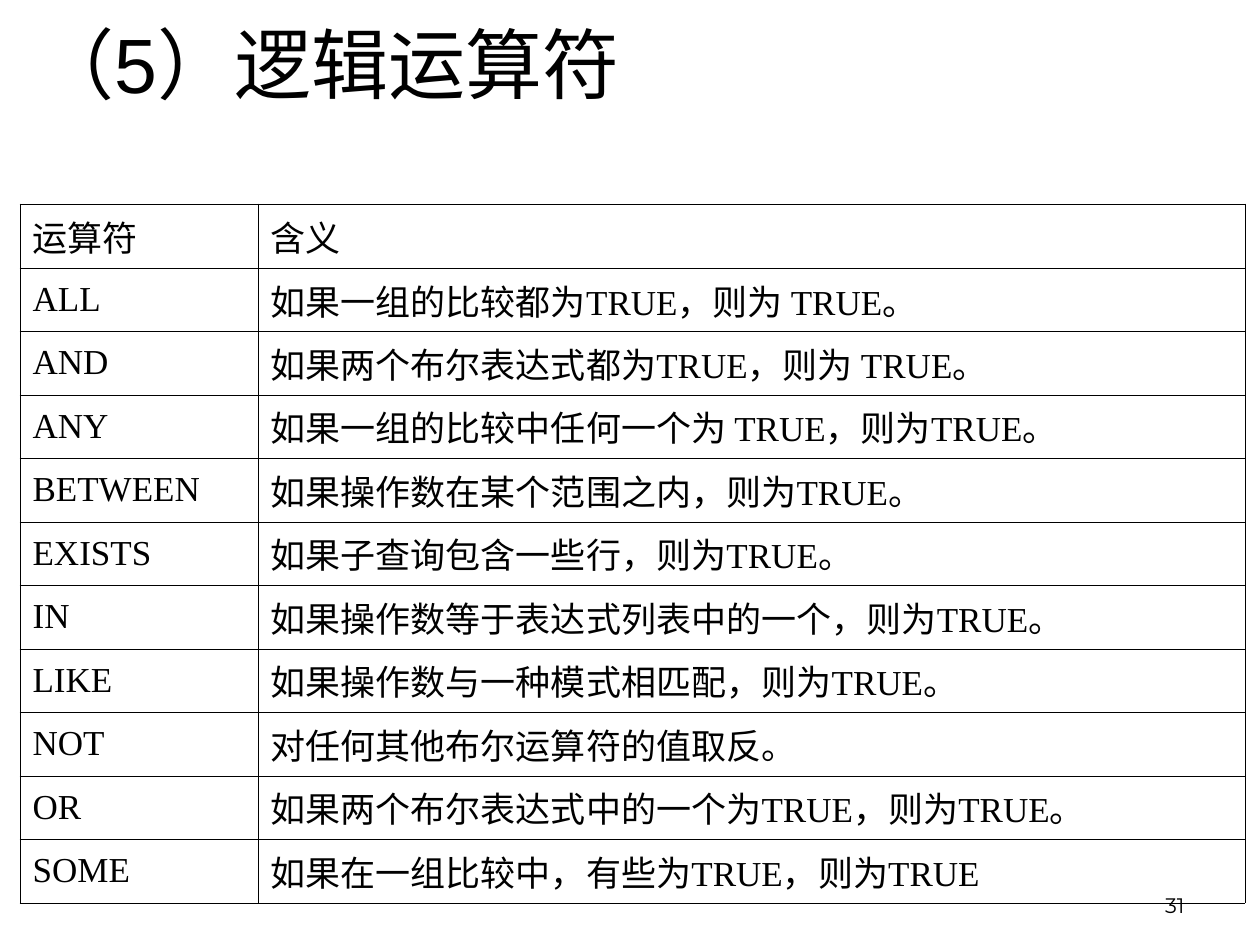
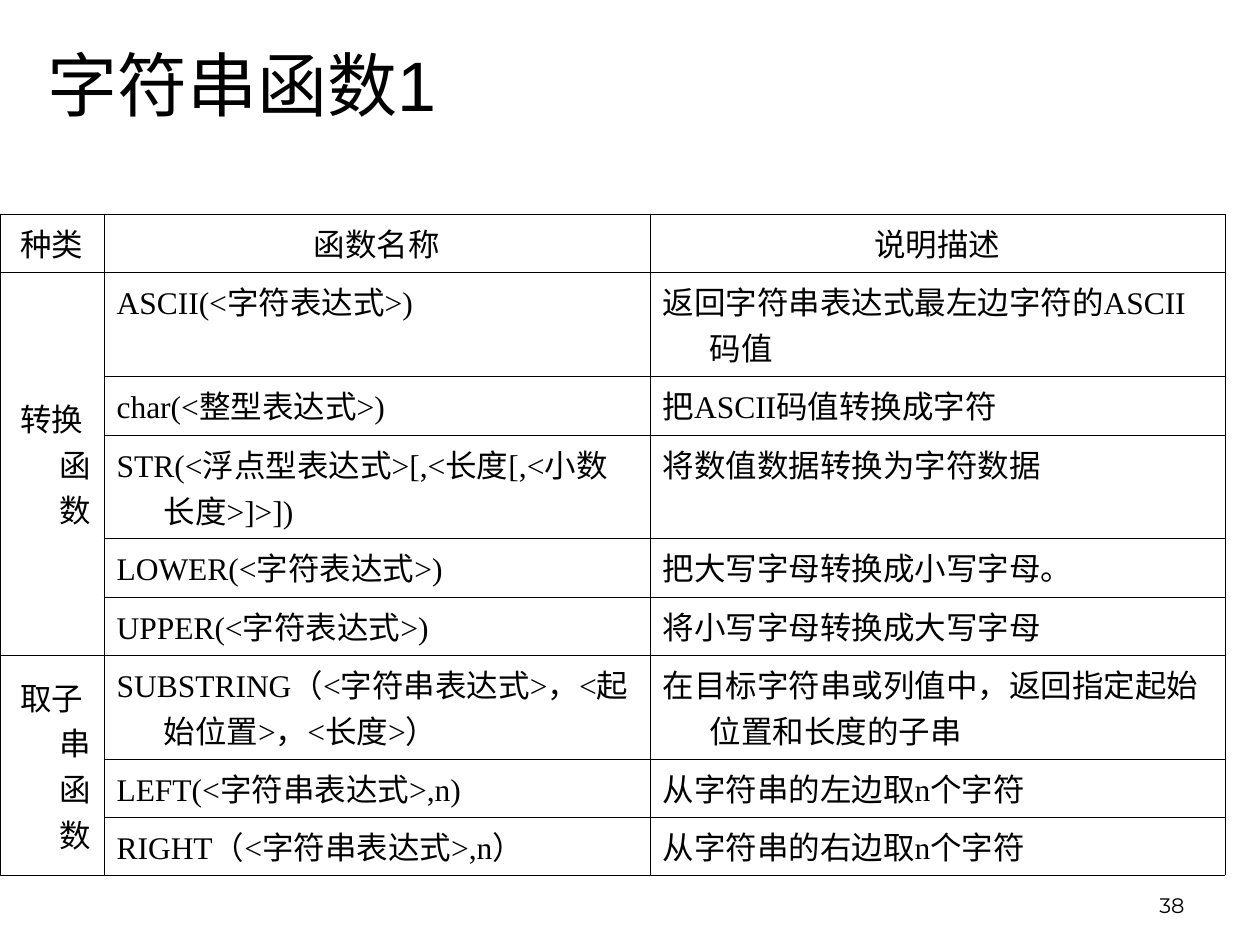
from dataclasses import dataclass

from lxml.etree import SubElement
from pptx import Presentation
from pptx.dml.color import RGBColor
from pptx.enum.text import MSO_ANCHOR as Anchor, PP_ALIGN as Align
from pptx.oxml.ns import qn
from pptx.util import Emu, Pt

PX_PER_INCH = 126


@dataclass(frozen=True)
class Theme:
    ink: str = "000000"
    title_font: str = "Arial"
    table_font: str = "Times New Roman"
    group_font: str = "DejaVu Sans"
    number_font: str = "Montserrat"
    operator_title_size: int = 44
    function_title_size: int = 40
    operator_size: int = 20
    function_size: int = 18
    number_size: int = 12
    border: float = 0.45
    hanging: int = 47


THEME = Theme()
NUMBER_BOX = (903, 861, 294, 63)

OPERATORS = [
    ("运算符", "含义"),
    ("ALL", "如果一组的比较都为TRUE，则为 TRUE。"),
    ("AND", "如果两个布尔表达式都为TRUE，则为 TRUE。"),
    ("ANY", "如果一组的比较中任何一个为 TRUE，则为TRUE。"),
    ("BETWEEN", "如果操作数在某个范围之内，则为TRUE。"),
    ("EXISTS", "如果子查询包含一些行，则为TRUE。"),
    ("IN", "如果操作数等于表达式列表中的一个，则为TRUE。"),
    ("LIKE", "如果操作数与一种模式相匹配，则为TRUE。"),
    ("NOT", "对任何其他布尔运算符的值取反。"),
    ("OR", "如果两个布尔表达式中的一个为TRUE，则为TRUE。"),
    ("SOME", "如果在一组比较中，有些为TRUE，则为TRUE"),
]

FUNCTION_HEADER = ("种类", "函数名称", "说明描述")
FUNCTION_GROUPS = {
    "转换函数": [
        ("ASCII(<字符表达式>)", "返回字符串表达式最左边字符的ASCII码值"),
        ("char(<整型表达式>)", "把ASCII码值转换成字符"),
        ("STR(<浮点型表达式>[,<长度[,<小数长度>]>])", "将数值数据转换为字符数据"),
        ("LOWER(<字符表达式>)", "把大写字母转换成小写字母。"),
        ("UPPER(<字符表达式>)", "将小写字母转换成大写字母"),
    ],
    "取子串函数": [
        ("SUBSTRING（<字符串表达式>，<起始位置>，<长度>）",
         "在目标字符串或列值中，返回指定起始位置和长度的子串"),
        ("LEFT(<字符串表达式>,n)", "从字符串的左边取n个字符"),
        ("RIGHT（<字符串表达式>,n）", "从字符串的右边取n个字符"),
    ],
}


def px(length):
    return Emu(round(length * 914400 / PX_PER_INCH))


def write(frame, text, font, size, align=Align.LEFT):
    paragraph = frame.paragraphs[0]
    paragraph.alignment = align
    run = paragraph.add_run()
    run.text = text
    run.font.name = font
    run.font.size = Pt(size)
    run.font.color.rgb = RGBColor.from_string(THEME.ink)
    return paragraph


def add_label(slide, box, text, font, size, anchor, align=Align.LEFT):
    frame = slide.shapes.add_textbox(*map(px, box)).text_frame
    frame.word_wrap = True
    frame.vertical_anchor = anchor
    write(frame, text, font, size, align)


def add_page(presentation, title, title_box, title_size, number):
    slide = presentation.slides.add_slide(presentation.slide_layouts[6])
    add_label(slide, NUMBER_BOX, number, THEME.number_font, THEME.number_size,
              Anchor.BOTTOM, Align.RIGHT)
    add_label(slide, title_box, title, THEME.title_font, title_size, Anchor.MIDDLE)
    return slide


def style_cell(cell):
    properties = cell._tc.get_or_add_tcPr()
    for side in ("a:lnL", "a:lnR", "a:lnT", "a:lnB"):
        line = SubElement(properties, qn(side), w=str(Pt(THEME.border)))
        fill = SubElement(line, qn("a:solidFill"))
        SubElement(fill, qn("a:srgbClr"), val=THEME.ink)
    cell.fill.background()


def add_grid(slide, left, top, widths, heights):
    box = (left, top, sum(widths), sum(heights))
    table = slide.shapes.add_table(len(heights), len(widths), *map(px, box)).table
    table.first_row = table.horz_banding = False
    for column, width in zip(table.columns, widths):
        column.width = px(width)
    for row, height in zip(table.rows, heights):
        row.height = px(height)
    for cell in table.iter_cells():
        style_cell(cell)
    return table


def fill_cell(cell, text, size, anchor=Anchor.TOP, align=Align.LEFT,
              font=THEME.table_font):
    cell.vertical_anchor = anchor
    properties = write(cell.text_frame, text, font, size, align)._p.get_or_add_pPr()
    properties.set("marL", str(px(THEME.hanging)))
    properties.set("indent", str(-px(THEME.hanging)))


def add_operator_table(slide, left, top):
    heights = [64 - row % 2 for row in range(len(OPERATORS))]
    table = add_grid(slide, left, top, (238, 987), heights)
    for row, texts in enumerate(OPERATORS):
        for column, text in enumerate(texts):
            fill_cell(table.cell(row, column), text, THEME.operator_size,
                      Anchor.MIDDLE)


def add_function_table(slide, left, top):
    size = THEME.function_size
    heights = [58, 104, 59, 103, 59, 58, 104, 58, 58]
    table = add_grid(slide, left, top, (104, 546, 575), heights)
    for column, text in enumerate(FUNCTION_HEADER):
        fill_cell(table.cell(0, column), text, size, align=Align.CENTER)
    row = 1
    for group, functions in FUNCTION_GROUPS.items():
        first = table.cell(row, 0)
        first.merge(table.cell(row + len(functions) - 1, 0))
        fill_cell(first, group, size, Anchor.MIDDLE, Align.CENTER, THEME.group_font)
        for texts in functions:
            for column, text in enumerate(texts, 1):
                fill_cell(table.cell(row, column), text, size)
            row += 1


def main():
    presentation = Presentation()
    presentation.slide_width, presentation.slide_height = px(1260), px(945)
    operators = add_page(presentation, "（5）逻辑运算符", (25, 0, 1174, 125),
                         THEME.operator_title_size, "31")
    add_operator_table(operators, 20, 204)
    functions = add_page(presentation, "字符串函数1", (35, 56, 1134, 55),
                         THEME.function_title_size, "38")
    add_function_table(functions, 0, 214)
    presentation.save("out.pptx")


if __name__ == "__main__":
    main()
